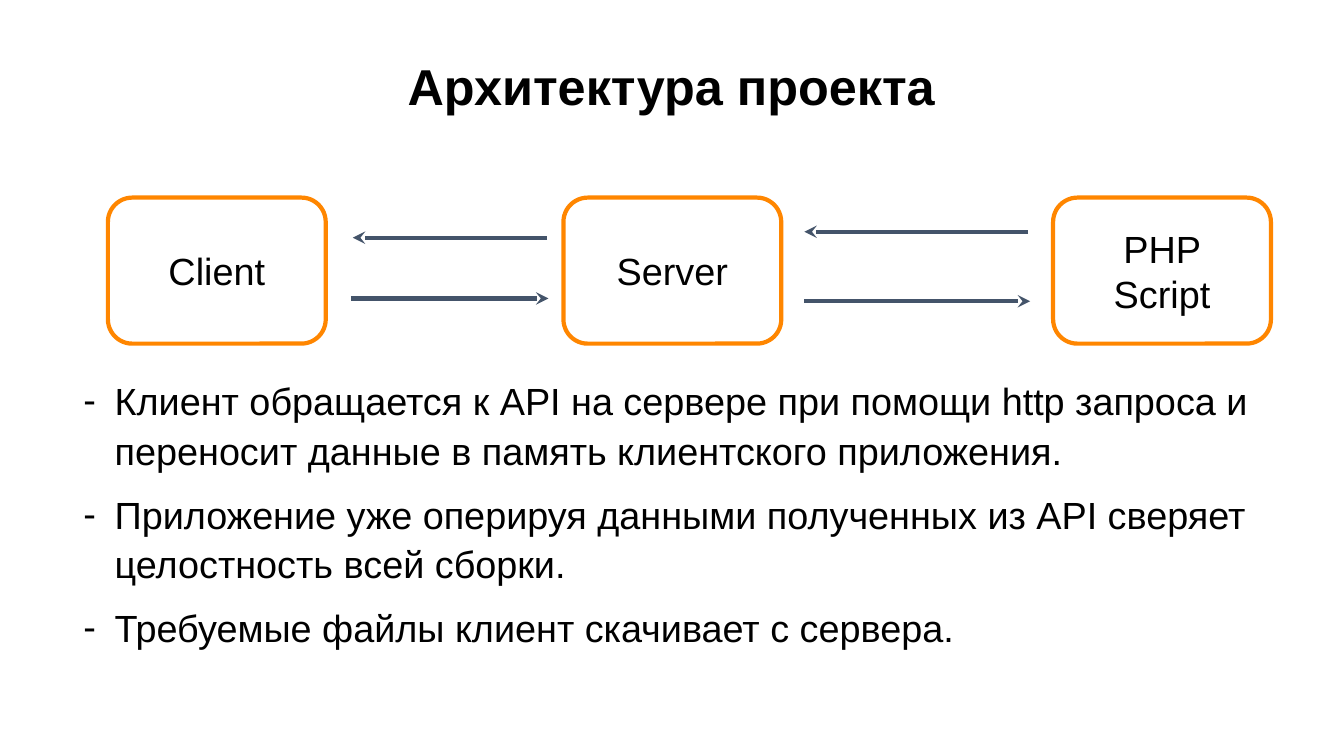
import dataclasses

import lxml.etree
import pptx
import pptx.dml.color
import pptx.enum.shapes
import pptx.enum.text
import pptx.oxml.ns
import pptx.shapes.autoshape
import pptx.slide
import pptx.text.text
import pptx.util

Cm = pptx.util.Cm
Pt = pptx.util.Pt
RGB = pptx.dml.color.RGBColor
Align = pptx.enum.text.PP_ALIGN
qn = pptx.oxml.ns.qn


@dataclasses.dataclass(frozen=True)
class Theme:
    font: str = "Arial"
    text: RGB = RGB(0x00, 0x00, 0x00)
    node_border: RGB = RGB(0xFF, 0x86, 0x00)
    arrow: RGB = RGB(0x44, 0x54, 0x6A)
    title_size: int = 36
    body_size: int = 27
    line_width: int = 3


@dataclasses.dataclass(frozen=True)
class Node:
    label: str
    left: float


@dataclasses.dataclass(frozen=True)
class Arrow:
    tail_x: float
    tip_x: float
    y: float


THEME = Theme()

# Lengths in centimetres
NODE_TOP, NODE_WIDTH, NODE_HEIGHT = 4.98, 5.49, 3.68
NODE_INSET = 0.28
BULLET_INDENT = 0.79

NODES = (Node("Client", 2.72), Node("Server", 14.2), Node("PHP Script", 26.54))
ARROWS = (
    Arrow(13.79, 8.89, 5.99),
    Arrow(8.84, 13.82, 7.52),
    Arrow(25.91, 20.27, 5.84),
    Arrow(20.27, 25.96, 7.59),
)
NOTES = (
    "Клиент обращается к API на сервере при помощи http запроса "
    "и переносит данные в память клиентского приложения.",
    "Приложение уже оперируя данными полученных из API "
    "сверяет целостность всей сборки.",
    "Требуемые файлы клиент скачивает с сервера.",
)


def style_paragraph(
    paragraph: pptx.text.text._Paragraph,
    size: int,
    align: Align,
    bold: bool = False,
) -> None:
    paragraph.alignment = align
    paragraph.font.name = THEME.font
    paragraph.font.size = Pt(size)
    paragraph.font.bold = bold
    paragraph.font.color.rgb = THEME.text


def add_text_frame(
    slide: pptx.slide.Slide, left: float, top: float, width: float, height: float
) -> pptx.text.text.TextFrame:
    frame = slide.shapes.add_textbox(Cm(left), Cm(top), Cm(width), Cm(height)).text_frame
    frame.word_wrap = True
    return frame


def add_title(slide: pptx.slide.Slide, wording: str) -> None:
    heading = add_text_frame(slide, 1.83, 1.45, 30.18, 1.96).paragraphs[0]
    heading.text = wording
    heading.line_spacing = 0.9
    style_paragraph(heading, THEME.title_size, Align.CENTER, bold=True)


def add_node(slide: pptx.slide.Slide, node: Node) -> None:
    box = slide.shapes.add_shape(
        pptx.enum.shapes.MSO_SHAPE.ROUNDED_RECTANGLE,
        Cm(node.left), Cm(NODE_TOP), Cm(NODE_WIDTH), Cm(NODE_HEIGHT),
    )
    box.shadow.inherit = False
    box.fill.background()
    box.line.color.rgb = THEME.node_border
    box.line.width = Pt(THEME.line_width)
    frame = box.text_frame
    frame.word_wrap = True
    frame.vertical_anchor = pptx.enum.text.MSO_ANCHOR.MIDDLE
    frame.margin_left = frame.margin_right = Cm(NODE_INSET)
    frame.margin_top = frame.margin_bottom = Cm(NODE_INSET)
    frame.text = node.label
    style_paragraph(frame.paragraphs[0], THEME.body_size, Align.CENTER)


def add_arrow(slide: pptx.slide.Slide, arrow: Arrow) -> None:
    link = slide.shapes.add_connector(
        pptx.enum.shapes.MSO_CONNECTOR.STRAIGHT,
        Cm(arrow.tail_x), Cm(arrow.y), Cm(arrow.tip_x), Cm(arrow.y),
    )
    link.line.color.rgb = THEME.arrow
    link.line.width = Pt(THEME.line_width)
    # Arrowhead at the tip, no shadow
    outline = link.line._get_or_add_ln()
    lxml.etree.SubElement(outline, qn("a:tailEnd"), type="stealth")
    lxml.etree.SubElement(link._element.spPr, qn("a:effectLst"))


def add_dash_bullet(paragraph: pptx.text.text._Paragraph) -> None:
    properties = paragraph._p.get_or_add_pPr()
    properties.set("marL", str(Cm(BULLET_INDENT)))
    properties.set("indent", str(-Cm(BULLET_INDENT)))
    bullet_colour = lxml.etree.Element(qn("a:buClr"))
    lxml.etree.SubElement(bullet_colour, qn("a:srgbClr"), val=str(THEME.text))
    bullet_font = lxml.etree.Element(qn("a:buFont"), typeface=THEME.font)
    dash = lxml.etree.Element(qn("a:buChar"), char="-")
    # Bullet settings stand before the default run properties
    for setting in (bullet_colour, bullet_font, dash):
        properties.find(qn("a:defRPr")).addprevious(setting)


def add_notes(slide: pptx.slide.Slide, notes: tuple[str, ...]) -> None:
    frame = add_text_frame(slide, 1.85, 9.27, 30.18, 7.82)
    for index, note in enumerate(notes):
        paragraph = frame.add_paragraph() if index else frame.paragraphs[0]
        paragraph.text = note
        paragraph.line_spacing = 1.1
        paragraph.space_before = Pt(10)
        style_paragraph(paragraph, THEME.body_size, Align.LEFT)
        add_dash_bullet(paragraph)


def main() -> None:
    presentation = pptx.Presentation()
    presentation.slide_width = Cm(33.87)
    presentation.slide_height = Cm(19.05)
    slide = presentation.slides.add_slide(presentation.slide_layouts[6])

    add_title(slide, "Архитектура проекта")

    # Architecture diagram
    for node in NODES:
        add_node(slide, node)
    for arrow in ARROWS:
        add_arrow(slide, arrow)

    add_notes(slide, NOTES)
    presentation.save("out.pptx")


if __name__ == "__main__":
    main()
